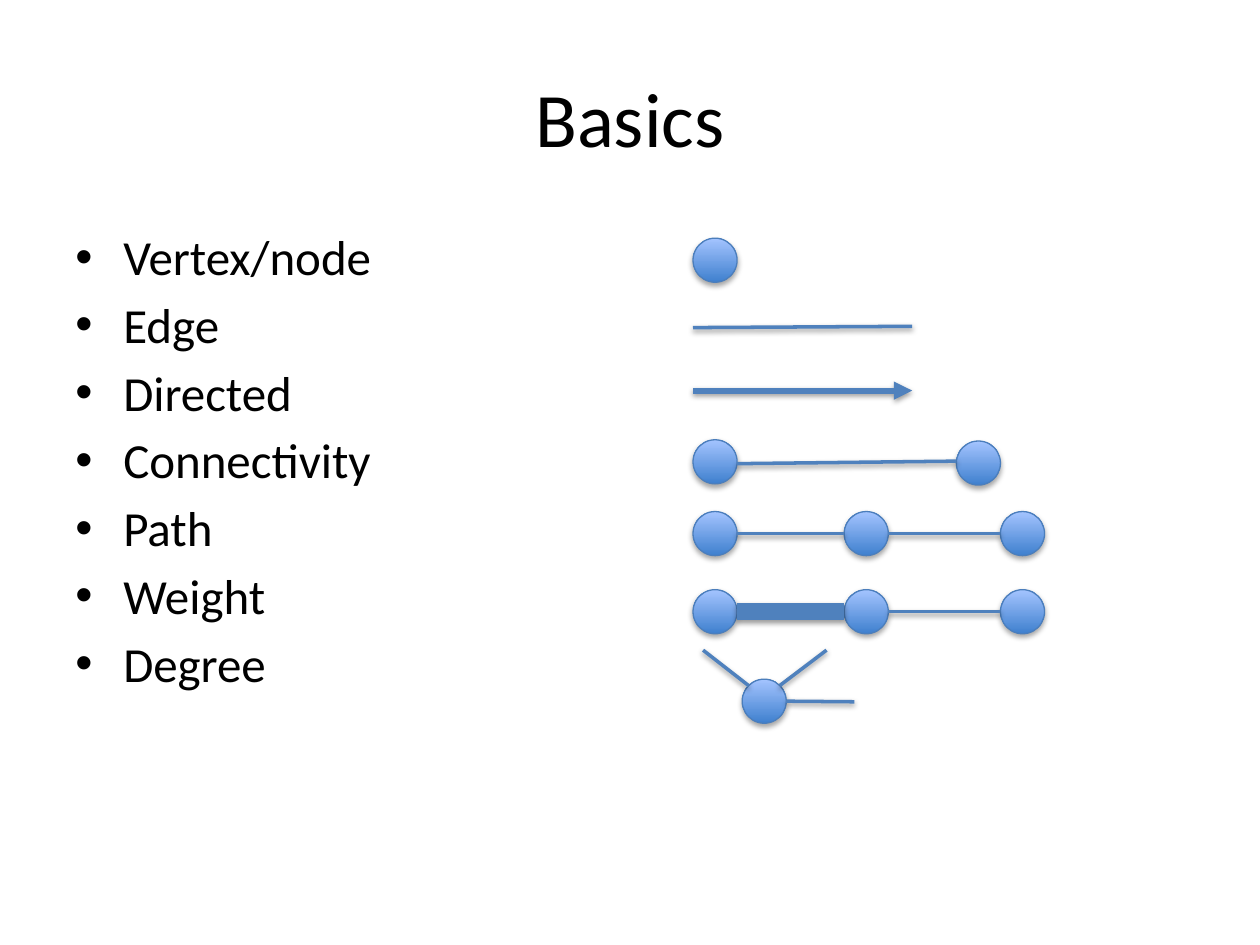
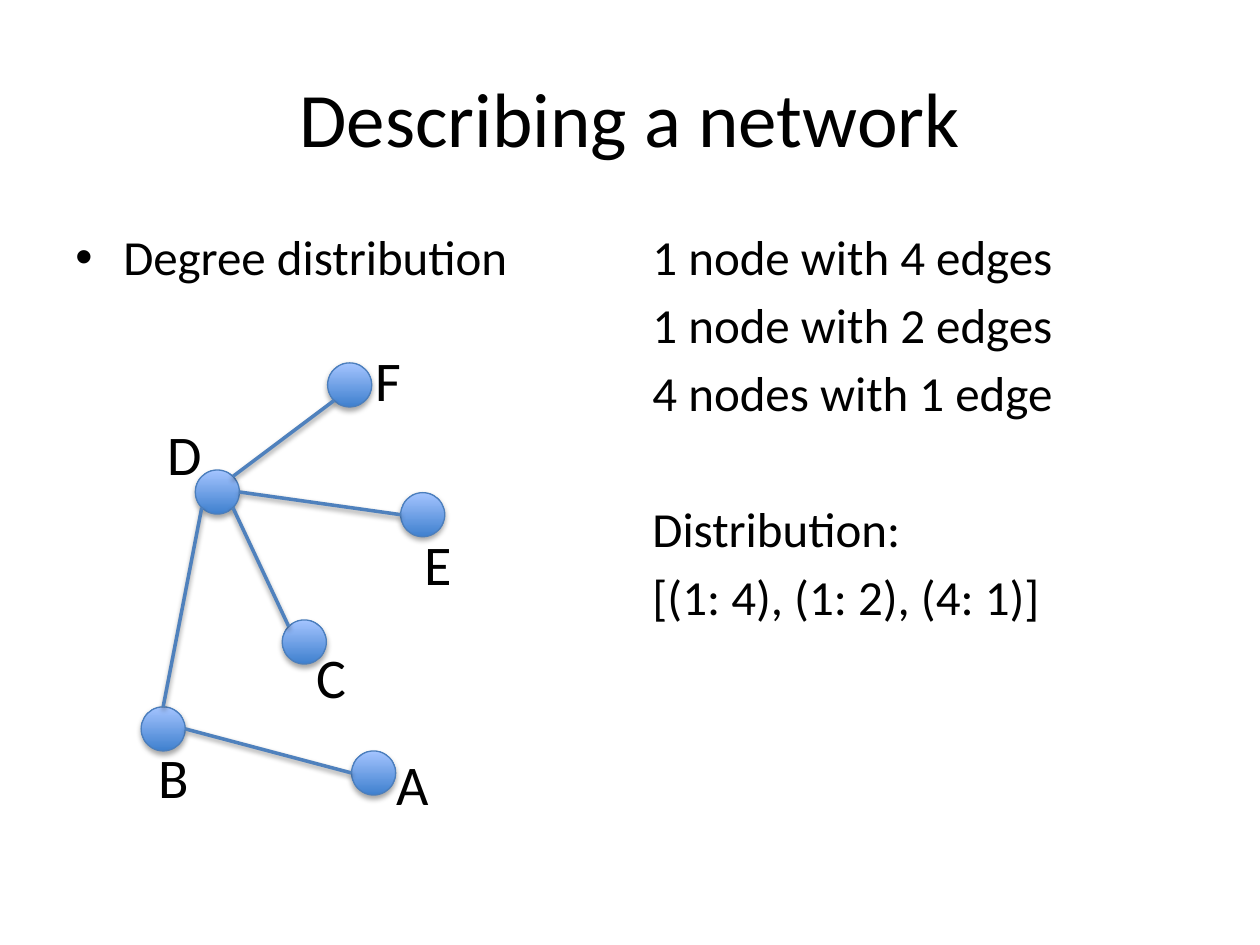
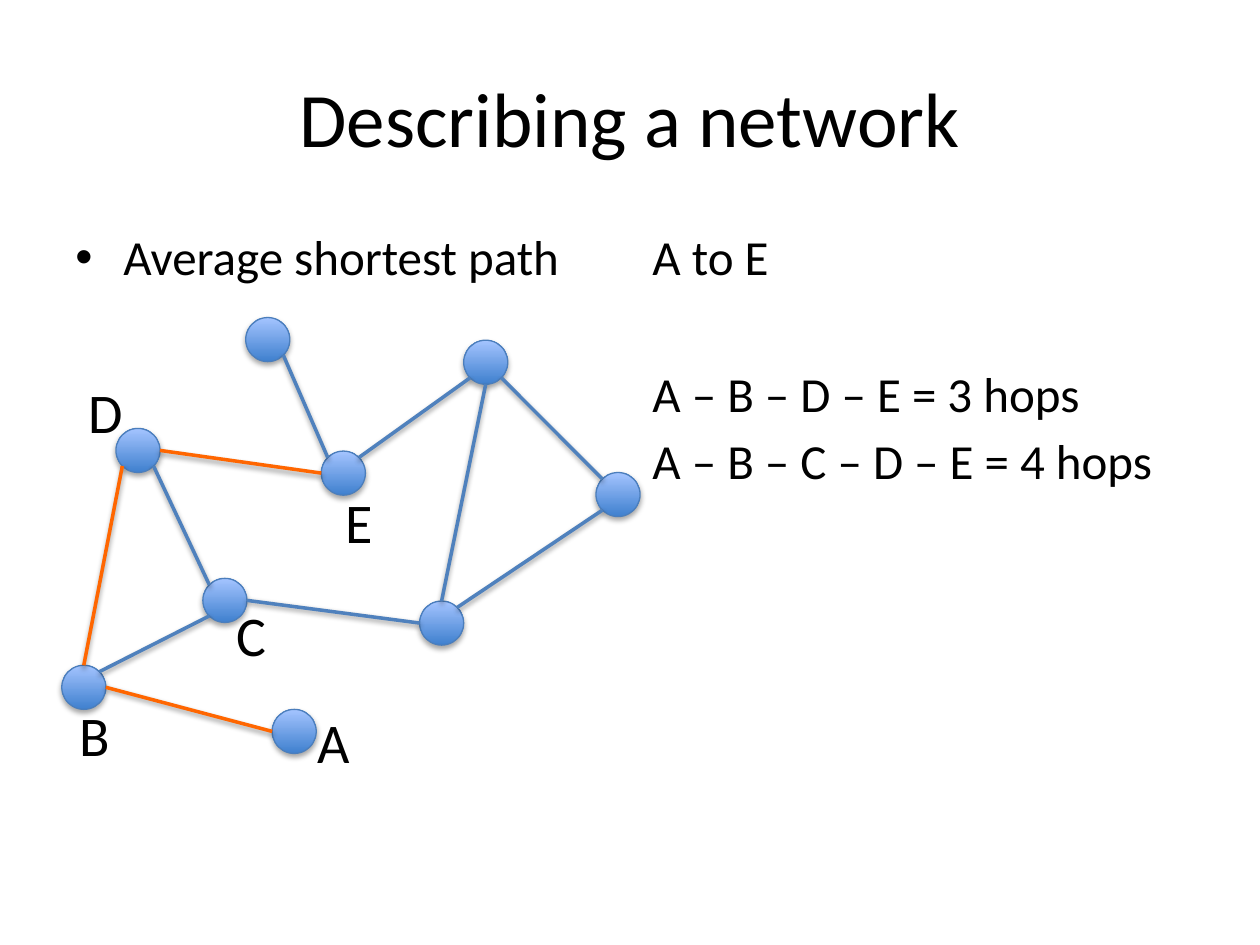
from math import cos, pi, sin

from lxml.etree import SubElement
from pptx import Presentation
from pptx.dml.color import RGBColor
from pptx.enum.shapes import MSO_CONNECTOR, MSO_SHAPE
from pptx.enum.text import MSO_ANCHOR, PP_ALIGN
from pptx.oxml.ns import qn
from pptx.util import Inches, Pt

FONT = "Calibri"
BLACK = "000000"
BLUE = "4F81BD"
ORANGE = "FF6600"
NODE_OUTLINE = "4B7EBC"
NODE_BOTTOM = "3F80CE"
NODE_TOP = "A4C4FF"

NODE_SIZE = 0.35
BULLET_INDENT = 0.38
BODY_SIZE = 28
BODY_SPACING = 5.1
BODY_GAP = 44.4
LEFT_COLUMN = 0.5
RIGHT_COLUMN = 5.08

TOP, TOP_LEFT, LEFT, BOTTOM_LEFT, BOTTOM, BOTTOM_RIGHT, RIGHT, TOP_RIGHT = range(8)

CORE_NODES = {
    "A": (2.79, 5.96),
    "B": (1.12, 5.61),
    "C": (2.24, 4.92),
    "D": (1.55, 3.73),
    "E": (3.18, 3.91),
}
CORE_LABELS = {
    "A": (3.05, 5.9),
    "B": (1.16, 5.84),
    "C": (2.41, 5.05),
    "D": (1.23, 3.28),
    "E": (3.27, 4.15),
}
SHORTEST_ROUTE = [
    ("A", LEFT, "B", RIGHT),
    ("B", TOP, "D", BOTTOM_LEFT),
    ("D", RIGHT, "E", LEFT),
]
SIDE_EDGE = ("D", BOTTOM_RIGHT, "C", TOP_LEFT)


def color(value):
    return RGBColor.from_string(value)


def shifted(places, across, down):
    return {name: (x + across, y + down) for name, (x, y) in places.items()}


def site_point(node_place, site):
    radius = NODE_SIZE / 2
    angle = site * pi / 4
    x, y = node_place
    return x + radius * (1 - sin(angle)), y + radius * (1 - cos(angle))


class Sketch:
    def __init__(self):
        self.deck = Presentation()
        self.deck.slide_width = Inches(10)
        self.deck.slide_height = Inches(7.5)
        self.page = None

    def new_page(self, title):
        self.page = self.deck.slides.add_slide(self.deck.slide_layouts[6])
        frame = self.text_frame(0.5, 0.3, 9, 1.25)
        frame.vertical_anchor = MSO_ANCHOR.MIDDLE
        para = frame.paragraphs[0]
        para.alignment = PP_ALIGN.CENTER
        self.fill_paragraph(para, title, 44)

    def text_frame(self, left, top, width, height):
        box = self.page.shapes.add_textbox(
            Inches(left), Inches(top), Inches(width), Inches(height))
        box.text_frame.word_wrap = True
        return box.text_frame

    def fill_paragraph(self, para, text, size):
        para.text = text
        para.font.name = FONT
        para.font.size = Pt(size)
        para.font.color.rgb = color(BLACK)

    def body(self, left, lines, bulleted=False, gap_before=None):
        frame = self.text_frame(left, 1.75, 4.42, 4.95)
        for index, line in enumerate(lines):
            para = frame.paragraphs[0] if index == 0 else frame.add_paragraph()
            self.fill_paragraph(para, line, BODY_SIZE)
            para.space_before = Pt(BODY_GAP if index == gap_before else BODY_SPACING)
            if bulleted:
                self.bullet(para)

    def bullet(self, para):
        properties = para._p.get_or_add_pPr()
        properties.set("marL", str(Inches(BULLET_INDENT)))
        properties.set("indent", str(-Inches(BULLET_INDENT)))
        font = properties.makeelement(qn("a:buFont"), {"typeface": "Arial"})
        mark = properties.makeelement(qn("a:buChar"), {"char": "•"})
        properties.find(qn("a:defRPr")).addprevious(font)
        font.addnext(mark)

    def label(self, text, place):
        frame = self.text_frame(*place, 0.41, 0.64)
        self.fill_paragraph(frame.paragraphs[0], text, 32)

    def shadow(self, shape, distance, opacity):
        effects = SubElement(shape._element.spPr, qn("a:effectLst"))
        outer = SubElement(effects, qn("a:outerShdw"), blurRad=str(Pt(3.1)),
                           dist=str(Pt(distance)), dir="5400000", rotWithShape="0")
        tint = SubElement(outer, qn("a:srgbClr"), val=BLACK)
        SubElement(tint, qn("a:alpha"), val=str(opacity * 1000))

    def node(self, place):
        x, y = place
        circle = self.page.shapes.add_shape(
            MSO_SHAPE.OVAL, Inches(x), Inches(y), Inches(NODE_SIZE), Inches(NODE_SIZE))
        circle.fill.gradient()
        circle.fill.gradient_angle = 90
        for stop, position, shade in zip(
                circle.fill.gradient_stops, (0, 1), (NODE_BOTTOM, NODE_TOP)):
            stop.position = position
            stop.color.rgb = color(shade)
        circle.line.color.rgb = color(NODE_OUTLINE)
        circle.line.width = Pt(0.75)
        self.shadow(circle, 1.8, 35)
        return circle

    def line(self, start, end, shade=BLUE, width=2, arrow=False):
        connector = self.page.shapes.add_connector(
            MSO_CONNECTOR.STRAIGHT, *map(Inches, start + end))
        connector.line.color.rgb = color(shade)
        connector.line.width = Pt(width)
        if arrow:
            outline = connector._element.spPr.find(qn("a:ln"))
            SubElement(outline, qn("a:tailEnd"), type="triangle")
        self.shadow(connector, 1.6, 38)
        return connector

    def glue(self, connector, tag, circle, site):
        holder = connector._element.find(".//" + qn("p:cNvCxnSpPr"))
        SubElement(holder, qn(tag), id=str(circle.shape_id), idx=str(site))

    def network(self, places, colored_edges):
        circles = {name: self.node(place) for name, place in places.items()}
        for (first, first_site, second, second_site), shade in colored_edges:
            connector = self.line(site_point(places[first], first_site),
                                  site_point(places[second], second_site), shade)
            self.glue(connector, "a:stCxn", circles[first], first_site)
            self.glue(connector, "a:endCxn", circles[second], second_site)

    def labels(self, places):
        for name, place in places.items():
            self.label(name, place)

    def chain(self, top, first_width):
        places = [(x, top) for x in (5.5, 6.7, 7.94)]
        for place in places:
            self.node(place)
        for first, second, width in zip(places, places[1:], (first_width, 2)):
            self.line(site_point(first, RIGHT), site_point(second, LEFT), width=width)


def basics(sketch):
    sketch.new_page("Basics")
    sketch.body(LEFT_COLUMN, ["Vertex/node", "Edge", "Directed", "Connectivity",
                              "Path", "Weight", "Degree"], bulleted=True)
    for place in [(5.5, 1.89), (5.5, 3.49), (7.59, 3.5)]:
        sketch.node(place)
    sketch.line((5.5, 2.6), (7.24, 2.59))
    sketch.line((5.5, 3.1), (7.24, 3.1), width=3.5, arrow=True)
    sketch.line((5.85, 3.68), (7.59, 3.66))
    sketch.chain(4.06, first_width=2)
    sketch.chain(4.68, first_width=10)

    hub = (5.89, 5.39)
    sketch.node(hub)
    for site, end in [(TOP_RIGHT, (6.56, 5.16)), (TOP_LEFT, (5.58, 5.16)),
                      (RIGHT, (6.78, 5.57))]:
        sketch.line(site_point(hub, site), end)


def degree_distribution(sketch):
    sketch.new_page("Describing a network")
    sketch.body(LEFT_COLUMN, ["Degree distribution"], bulleted=True)
    sketch.body(RIGHT_COLUMN, ["1 node with 4 edges", "1 node with 2 edges",
                               "4 nodes with 1 edge", "Distribution:",
                               "[(1: 4), (1: 2), (4: 1)]"], gap_before=3)
    edges = SHORTEST_ROUTE + [SIDE_EDGE, ("D", TOP_RIGHT, "F", BOTTOM_LEFT)]
    sketch.network(CORE_NODES | {"F": (2.6, 2.88)}, [(edge, BLUE) for edge in edges])
    sketch.labels(CORE_LABELS | {"F": (2.88, 2.69)})


def shortest_path(sketch):
    sketch.new_page("Describing a network")
    sketch.body(LEFT_COLUMN, ["Average shortest path"], bulleted=True)
    sketch.body(RIGHT_COLUMN, ["A to E", "A – B – D – E = 3 hops",
                               "A – B – C – D – E = 4 hops"], gap_before=1)
    shift = (-0.63, -0.33)
    outer_nodes = {
        "upper left": (1.95, 2.52),
        "upper right": (3.68, 2.7),
        "far right": (4.73, 3.75),
        "lower right": (3.33, 4.77),
    }
    other_edges = [
        SIDE_EDGE,
        ("B", TOP_RIGHT, "C", BOTTOM_LEFT),
        ("C", RIGHT, "lower right", LEFT),
        ("E", TOP_RIGHT, "upper right", BOTTOM_LEFT),
        ("upper left", BOTTOM_RIGHT, "E", TOP_LEFT),
        ("upper right", BOTTOM_RIGHT, "far right", TOP_LEFT),
        ("lower right", TOP_RIGHT, "far right", BOTTOM_LEFT),
        ("lower right", TOP, "upper right", BOTTOM),
    ]
    colored_edges = [(edge, ORANGE) for edge in SHORTEST_ROUTE]
    colored_edges += [(edge, BLUE) for edge in other_edges]
    sketch.network(shifted(CORE_NODES, *shift) | outer_nodes, colored_edges)
    sketch.labels(shifted(CORE_LABELS, *shift))


def main():
    sketch = Sketch()
    basics(sketch)
    degree_distribution(sketch)
    shortest_path(sketch)
    sketch.deck.save("out.pptx")


if __name__ == "__main__":
    main()
